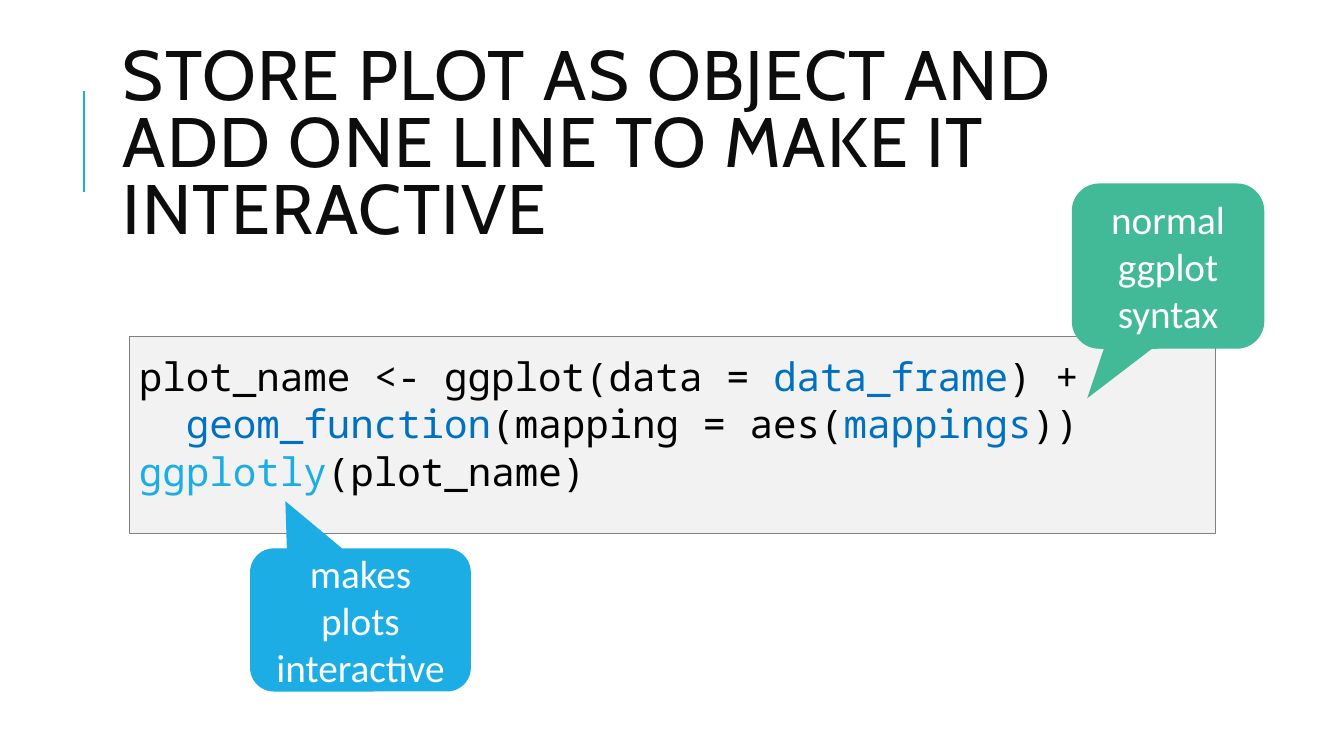
from pptx import Presentation
from pptx.dml.color import RGBColor
from pptx.enum.shapes import MSO_CONNECTOR, MSO_SHAPE
from pptx.enum.text import MSO_ANCHOR, PP_ALIGN
from pptx.oxml.ns import qn
from pptx.util import Inches, Pt
from lxml import etree

STRAIGHT = MSO_CONNECTOR.STRAIGHT
RECT = MSO_SHAPE.RECTANGLE
CALLOUT = MSO_SHAPE.ROUNDED_RECTANGULAR_CALLOUT
TOP, MIDDLE = MSO_ANCHOR.TOP, MSO_ANCHOR.MIDDLE
CENTER = PP_ALIGN.CENTER

BLACK, WHITE, INK = "000000", "FFFFFF", "0D0D0D"
SKY, BLUE, GREEN = "1CADE4", "0070C0", "42BA97"
PANEL, GRAY = "F2F2F2", "808080"

CODE = [
    [("plot_name <- ggplot(data = ", BLACK), ("data_frame", BLUE), (") +", BLACK)],
    [("  geom_function", BLUE), ("(mapping = aes(", BLACK), ("mappings", BLUE), ("))", BLACK)],
    [("ggplotly", SKY), ("(plot_name)", BLACK)],
]


def rgb(color):
    return RGBColor.from_string(color)


def add_run(p, text, size, font, color):
    r = p.add_run()
    r.text = text
    r.font.size = Pt(size)
    r.font.name = font
    r.font.color.rgb = rgb(color)
    return r


def add_text_box(s, left, top, width, height, anchor):
    tf = s.shapes.add_textbox(Inches(left), Inches(top), Inches(width), Inches(height)).text_frame
    tf.word_wrap = True
    tf.vertical_anchor = anchor
    return tf


def add_filled_shape(s, kind, left, top, width, height, fill):
    sp = s.shapes.add_shape(kind, Inches(left), Inches(top), Inches(width), Inches(height))
    sp.shadow.inherit = False
    sp.fill.solid()
    sp.fill.fore_color.rgb = rgb(fill)
    sp.line.fill.background()
    return sp


def add_title(s, text):
    p = add_text_box(s, 1.12, 0.64, 10.63, 1.64, MIDDLE).paragraphs[0]
    p.line_spacing = 0.8
    r = add_run(p, text, 50, "Cabin", INK)
    r.font._element.set("spc", "100")


def add_accent_line(s):
    line = s.shapes.add_connector(STRAIGHT, Inches(0.83), Inches(1.9), Inches(0.83), Inches(0.9))
    line.line.color.rgb = rgb(SKY)
    line.line.width = Pt(1.5)
    etree.SubElement(line._element.spPr, qn("a:effectLst"))


def add_code_panel(s, lines):
    panel = add_filled_shape(s, RECT, 1.28, 3.34, 10.78, 1.95, PANEL)
    panel.line.color.rgb = rgb(GRAY)
    panel.line.width = Pt(0.75)
    tf = add_text_box(s, 1.28, 3.45, 10.78, 1.5, TOP)
    for i, line in enumerate(lines):
        p = tf.add_paragraph() if i else tf.paragraphs[0]
        for text, color in line:
            add_run(p, text, 28, "Noto Sans Mono", color)


def add_callout(s, left, top, width, height, tip, fill, text):
    sp = add_filled_shape(s, CALLOUT, left, top, width, height, fill)
    sp.adjustments[0], sp.adjustments[1] = tip
    tf = sp.text_frame
    tf.word_wrap = True
    tf.vertical_anchor = MIDDLE
    p = tf.paragraphs[0]
    p.alignment = CENTER
    add_run(p, text, 28, "Calibri", WHITE)


def main():
    prs = Presentation()
    prs.slide_width, prs.slide_height = Inches(13.33), Inches(7.5)
    s = prs.slides.add_slide(prs.slide_layouts[6])

    # Heading
    add_accent_line(s)
    add_title(s, "STORE PLOT AS OBJECT AND ADD ONE LINE TO MAKE IT INTERACTIVE")

    # Code with its two explanations
    add_code_panel(s, CODE)
    add_callout(s, 2.48, 5.44, 2.19, 1.42, (-0.34, -0.83), SKY, "makes plots interactive")
    add_callout(s, 10.63, 1.82, 1.91, 1.64, (-0.42, 0.8), GREEN, "normal ggplot syntax")

    prs.save("out.pptx")


if __name__ == "__main__":
    main()
